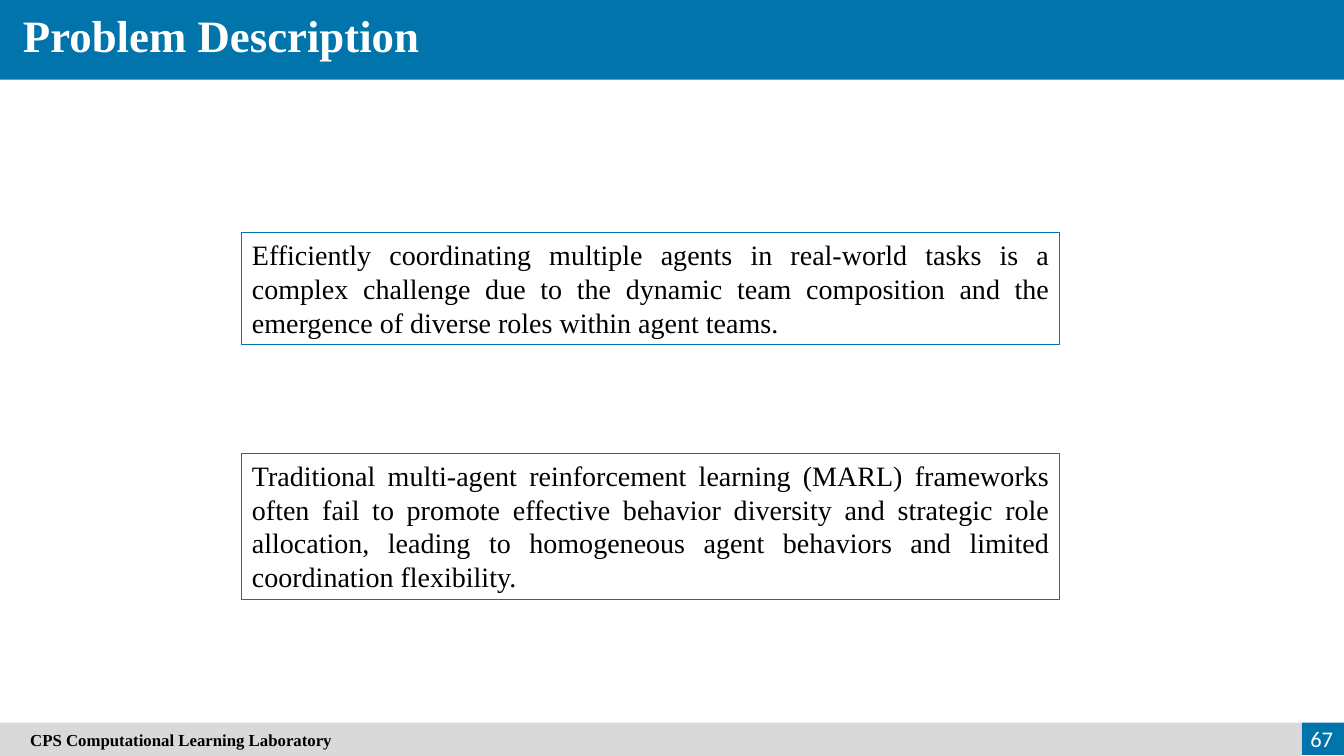
from dataclasses import dataclass

from pptx import Presentation
from pptx.dml.color import RGBColor
from pptx.enum.shapes import MSO_SHAPE
from pptx.enum.text import MSO_ANCHOR, PP_ALIGN
from pptx.util import Inches, Pt


@dataclass(frozen=True)
class Theme:
    blue: RGBColor = RGBColor(0x01, 0x74, 0xAB)
    gray: RGBColor = RGBColor(0xD9, 0xD9, 0xD9)
    white: RGBColor = RGBColor(0xFF, 0xFF, 0xFF)
    black: RGBColor = RGBColor(0x00, 0x00, 0x00)
    serif: str = "Times New Roman"
    sans: str = "Calibri"
    title_size: int = 32
    body_size: int = 20
    number_size: int = 16
    footer_size: int = 12


theme = Theme()

deck = Presentation()
deck.slide_width = Inches(13.33)
deck.slide_height = Inches(7.5)
page = deck.slides.add_slide(deck.slide_layouts[6])


def add_box(left, top, width, height, fill=None, line=None):
    box = page.shapes.add_shape(MSO_SHAPE.RECTANGLE, Inches(left), Inches(top),
                                Inches(width), Inches(height))
    box.shadow.inherit = False
    if fill is None:
        box.fill.background()
    else:
        box.fill.solid()
        box.fill.fore_color.rgb = fill
    if line is None:
        box.line.fill.background()
    else:
        box.line.color.rgb = line
        box.line.width = Pt(0.75)
    return box


def write(box, text, size, color, align, bold=False, font=theme.serif, anchor=MSO_ANCHOR.TOP):
    frame = box.text_frame
    frame.word_wrap = True
    frame.vertical_anchor = anchor
    frame.text = text
    para = frame.paragraphs[0]
    para.alignment = align
    span = para.runs[0]
    span.font.name = font
    span.font.size = Pt(size)
    span.font.bold = bold
    span.font.color.rgb = color


# Title band
add_box(0, 0, 13.33, 0.79, fill=theme.blue)
title = page.shapes.add_textbox(Inches(0.13), Inches(0.03), Inches(5.37), Inches(0.64))
write(title, "Problem Description", theme.title_size, theme.white, PP_ALIGN.JUSTIFY, bold=True)

# Problem statements
statements = [
    (2.31, 1.11, "Efficiently coordinating multiple agents in real-world tasks is a complex "
     "challenge due to the dynamic team composition and the emergence of diverse roles "
     "within agent teams."),
    (4.5, 1.45, "Traditional multi-agent reinforcement learning (MARL) frameworks often fail "
     "to promote effective behavior diversity and strategic role allocation, leading to "
     "homogeneous agent behaviors and limited coordination flexibility."),
]
for top, height, text in statements:
    statement = add_box(2.4, top, 8.11, height, line=theme.blue)
    write(statement, text, theme.body_size, theme.black, PP_ALIGN.JUSTIFY)

# Footer with page number
add_box(12.91, 7.17, 0.42, 0.32, fill=theme.blue)
footer = add_box(0, 7.17, 12.91, 0.33, fill=theme.gray)
write(footer, "CPS Computational Learning Laboratory", theme.footer_size, theme.black,
      PP_ALIGN.LEFT, bold=True, anchor=MSO_ANCHOR.MIDDLE)
footer.text_frame.margin_left = Inches(0.3)
number = page.shapes.add_textbox(Inches(12.69), Inches(7.13), Inches(0.63), Inches(0.4))
write(number, "67", theme.number_size, theme.white, PP_ALIGN.RIGHT,
      font=theme.sans, anchor=MSO_ANCHOR.MIDDLE)

deck.save("out.pptx")
